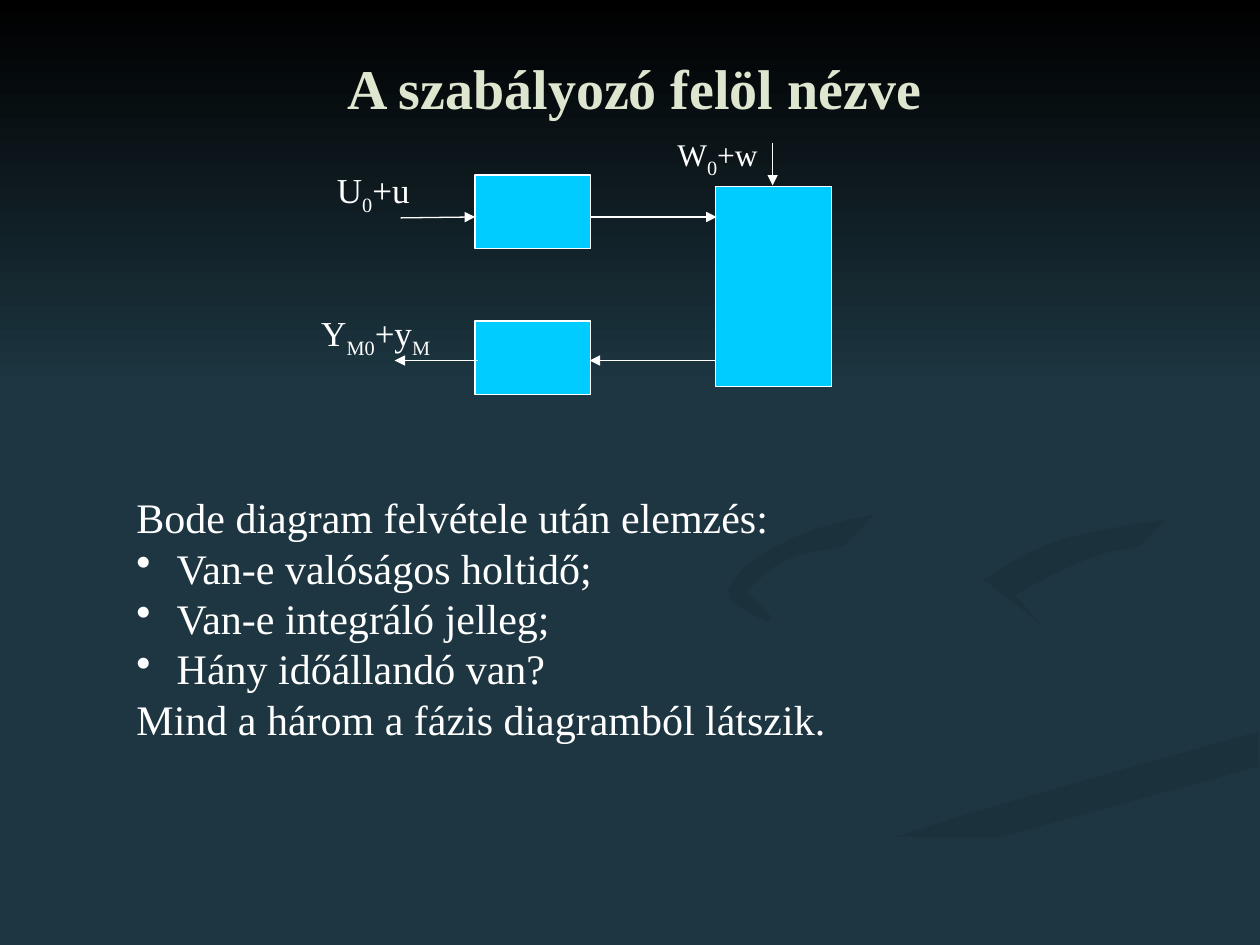
from dataclasses import dataclass
from typing import NamedTuple

from lxml.etree import SubElement
from pptx import Presentation
from pptx.dml.color import RGBColor as RGB
from pptx.enum.shapes import MSO_CONNECTOR as Connector, MSO_SHAPE as Preset
from pptx.enum.text import MSO_ANCHOR as Anchor, PP_ALIGN as Align
from pptx.oxml.ns import qn
from pptx.util import Pt


class Box(NamedTuple):
    """An area of the slide in points."""
    left: float
    top: float
    width: float
    height: float

    def inner(self, left, top, width, height):
        """Give the slide box of an area measured from this box."""
        return Box(self.left + left, self.top + top, width, height)

    def lengths(self):
        """Give the four sides as lengths."""
        return [Pt(side) for side in self]


@dataclass(frozen=True)
class Theme:
    """Colours, type sizes and line widths of the slide."""
    font: str = "Times New Roman"
    ground: str = "1D3641"
    shade: str = "1B323C"
    faint: str = "1C343E"
    night: str = "000000"
    title: str = "DFE6D0"
    ink: str = "FFFFFF"
    block: str = "00CCFF"
    title_size: float = 32
    body_size: float = 24
    label_size: float = 20
    small_size: float = 18
    line: float = 0.75


THEME = Theme()

RIBBONS = [
    (THEME.ground, THEME.faint, 0, [
        [(562, 398), (491, 374), (428, 349), (414, 330)],
        [(410, 338), (433, 356), (514, 382), (566, 408), (503, 438), (359, 476), (216, 539)],
        [(260, 539), (406, 479), (519, 449), (576, 418), (562, 398)]]),
    (THEME.ground, THEME.faint, 45, [
        [(679, 410), (626, 382), (546, 359), (521, 334)],
        [(537, 360), (603, 386), (661, 418), (644, 436)],
        [(679, 410)]]),
    (THEME.shade, THEME.ground, 90, [
        [(362, 539), (411, 539)],
        [(500, 498), (719, 438)],
        [(719, 418), (550, 466), (454, 499), (362, 539)]]),
    (THEME.ground, THEME.ground, 0, [
        [(522, 334), (546, 359), (626, 382), (679, 410), (642, 436), (507, 472), (343, 539)],
        [(362, 539), (454, 499), (550, 466), (719, 418)],
        [(719, 387), (599, 359), (562, 333), (612, 307), (719, 289)],
        [(719, 279), (613, 296), (522, 334)]]),
    (THEME.shade, THEME.ground, 45, [
        [(562, 331), (595, 357)],
        [(580, 340), (632, 316), (719, 302)],
        [(719, 289), (611, 307), (562, 331)]]),
    (THEME.shade, THEME.ground, 45, [
        [(492, 310), (594, 289), (644, 248), (607, 198), (549, 168)],
        [(616, 205), (640, 241), (606, 272), (467, 302), (416, 337), (448, 360)],
        [(427, 338), (449, 320), (492, 310)]]),
]


def curve(knots, steps=6):
    """Give the points of a Catmull-Rom curve through the knots."""
    padded = [knots[0], *knots, knots[-1]]
    points = [knots[0]]
    for a, b, c, d in zip(padded, padded[1:], padded[2:], padded[3:]):
        for step in range(1, steps + 1):
            t = step / steps
            points.append(tuple(
                q + t / 2 * (r - p + t * (2 * p - 5 * q + 4 * r - s
                                          + t * (3 * q - p - 3 * r + s)))
                for p, q, r, s in zip(a, b, c, d)))
    return points


def add_gradient(shape, start, end, angle):
    """Fill a borderless shape from one colour to another."""
    shape.shadow.inherit = False
    shape.line.fill.background()
    shape.fill.gradient()
    shape.fill.gradient_angle = -angle % 360
    for position, (stop, colour) in enumerate(zip(shape.fill.gradient_stops, (start, end))):
        stop.position = position
        stop.color.rgb = RGB.from_string(colour)


def add_backdrop(slide, box):
    """Colour the slide, wind the ribbons over it and darken its top."""
    slide.background.fill.solid()
    slide.background.fill.fore_color.rgb = RGB.from_string(THEME.ground)
    for start, end, angle, edges in RIBBONS:
        first, *rest = [(Pt(box.left + x), Pt(box.top + y))
                        for edge in edges for x, y in curve(edge)]
        builder = slide.shapes.build_freeform(*first)
        builder.add_line_segments(rest, close=True)
        add_gradient(builder.convert_to_shape(), start, end, angle)
    sky = slide.shapes.add_shape(Preset.RECTANGLE, *box.inner(0, 0, box.width, 222).lengths())
    add_gradient(sky, THEME.night, THEME.ground, 90)


def add_text(slide, box, inset=0, **formats):
    """Add a wrapped text frame with even side insets."""
    frame = slide.shapes.add_textbox(*box.lengths()).text_frame
    settings = {"word_wrap": True, "margin_left": Pt(inset), "margin_right": Pt(inset),
                "margin_top": 0, "margin_bottom": 0, **formats}
    for attribute, value in settings.items():
        setattr(frame, attribute, value)
    return frame


def add_run(paragraph, words, size, colour=THEME.ink, bold=False):
    """Append words in the slide's font."""
    run = paragraph.add_run()
    run.text = words
    for attribute, value in {"name": THEME.font, "size": Pt(size), "bold": bold}.items():
        setattr(run.font, attribute, value)
    run.font.color.rgb = RGB.from_string(colour)
    return run


def add_title(slide, box):
    """Write the centred heading."""
    heading = add_text(slide, box, word_wrap=False, vertical_anchor=Anchor.MIDDLE).paragraphs[0]
    heading.alignment = Align.CENTER
    add_run(heading, "A szabályozó felöl nézve", THEME.title_size, THEME.title, True)


def add_block(slide, box):
    """Draw one block of the control loop."""
    block = slide.shapes.add_shape(Preset.RECTANGLE, *box.lengths())
    block.shadow.inherit = False
    block.fill.solid()
    block.fill.fore_color.rgb = RGB.from_string(THEME.block)
    block.line.color.rgb = RGB.from_string(THEME.ink)
    block.line.width = Pt(THEME.line)


def add_arrow(slide, box, x1, y1, x2, y2):
    """Draw a signal arrow between two points of the box."""
    arrow = slide.shapes.add_connector(
        Connector.STRAIGHT, Pt(box.left + x1), Pt(box.top + y1),
        Pt(box.left + x2), Pt(box.top + y2))
    arrow.line.color.rgb = RGB.from_string(THEME.ink)
    arrow.line.width = Pt(THEME.line)
    properties = arrow._element.spPr
    SubElement(properties.find(qn("a:ln")), qn("a:tailEnd"), type="triangle")
    SubElement(properties, qn("a:effectLst"))


def add_signal(slide, box, parts, size, align):
    """Write a signal name whose every second part is a subscript."""
    signal = add_text(slide, box, 1.5).paragraphs[0]
    signal.alignment = align
    for index, part in enumerate(parts):
        subscript = index % 2
        run = add_run(signal, part, THEME.label_size if subscript else size)
        if subscript:
            run._r.get_or_add_rPr().set("baseline", "-25000")


def add_loop(slide, box):
    """Draw the control loop as the controller sees it."""
    for block in [(89.5, 25, 66, 42), (227, 31.5, 66, 114.5), (89.5, 108.5, 66, 42)]:
        add_block(slide, box.inner(*block))
    for ends in [(47, 49.5, 89.5, 49), (91, 131, 43.5, 131), (155.5, 49, 227.5, 49),
                 (227, 131, 155, 131), (259.5, 6.5, 259.5, 31)]:
        add_arrow(slide, box, *ends)
    for place, parts, size, align in [
            ((9, 21.5, 52.5, 24), ("U", "0", "+u"), THEME.label_size, Align.LEFT),
            ((0, 103, 79, 24), ("Y", "M0", "+y", "M"), THEME.label_size, Align.LEFT),
            ((200, 0, 52.5, 21.5), ("W", "0", "+w"), THEME.small_size, Align.RIGHT)]:
        add_signal(slide, box.inner(*place), parts, size, align)


def add_analysis(slide, box):
    """List the questions that the Bode diagram answers."""
    frame = add_text(slide, box)
    lines = [("Bode diagram felvétele után elemzés:", False),
             ("Van-e valóságos holtidő;", True),
             ("Van-e integráló jelleg;", True),
             ("Hány időállandó van?", True),
             ("Mind a három a fázis diagramból látszik.", False)]
    for index, (words, bulleted) in enumerate(lines):
        line = frame.add_paragraph() if index else frame.paragraphs[0]
        add_run(line, words, THEME.body_size)
        if bulleted:
            properties = line._p.get_or_add_pPr()
            for attribute, value in {"marL": Pt(23), "indent": -Pt(23)}.items():
                properties.set(attribute, str(value))
            SubElement(properties, qn("a:buChar"), char="•")


def main():
    """Build the slide and save it."""
    deck = Presentation()
    deck.slide_width, deck.slide_height = Pt(720), Pt(540)
    slide = deck.slides.add_slide(deck.slide_layouts[6])
    add_backdrop(slide, Box(0, 0, 720, 540))
    add_title(slide, Box(191, 27.5, 343.5, 45))
    add_loop(slide, Box(182, 75, 293, 150.5))
    add_analysis(slide, Box(78, 281, 520, 145))
    deck.save("out.pptx")


if __name__ == "__main__":
    main()
